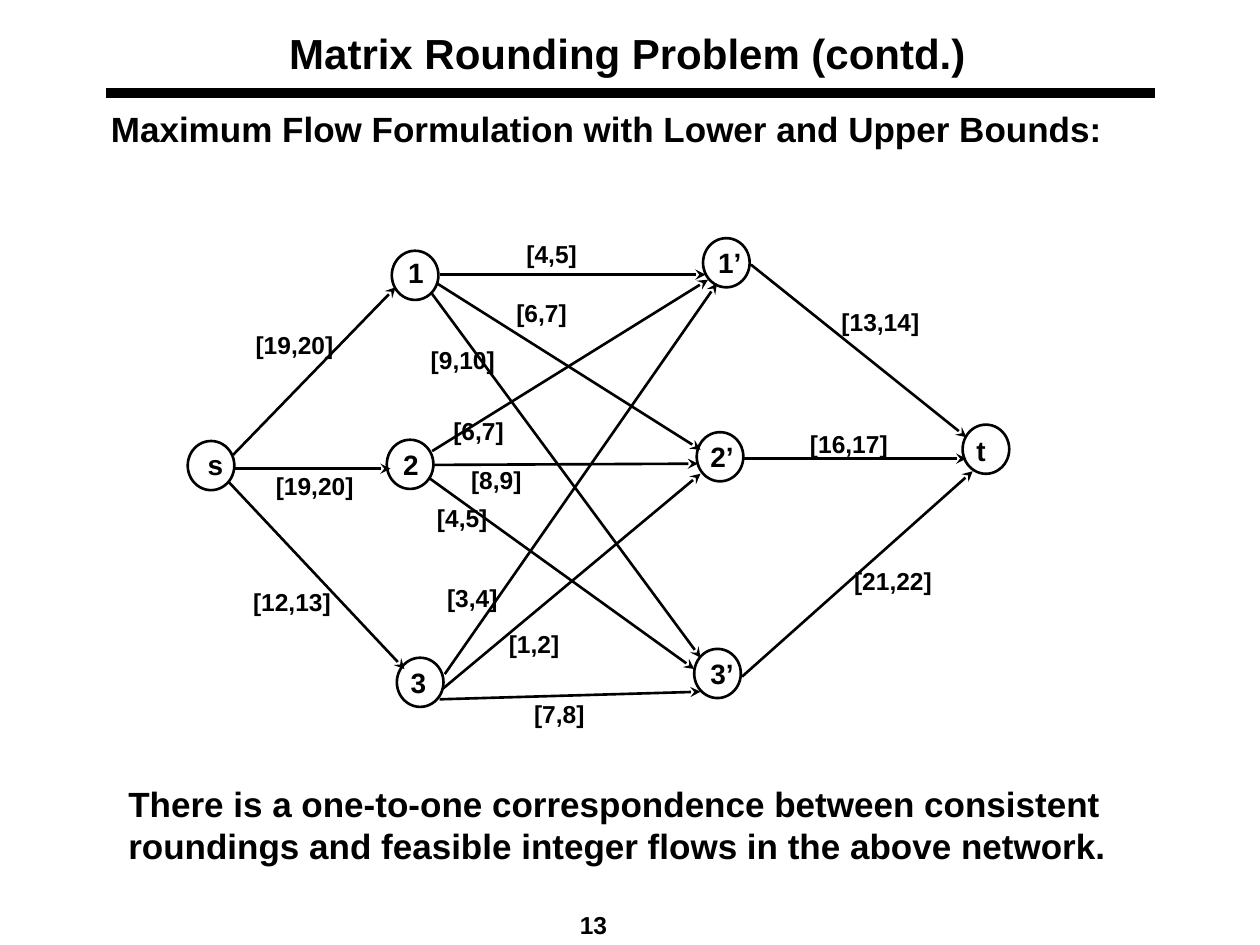
from lxml import etree
from pptx import Presentation
from pptx.dml.color import RGBColor
from pptx.enum.shapes import MSO_CONNECTOR, MSO_SHAPE
from pptx.enum.text import MSO_ANCHOR, MSO_AUTO_SIZE, PP_ALIGN
from pptx.oxml.ns import qn
from pptx.util import Emu, Pt

STRAIGHT = MSO_CONNECTOR.STRAIGHT
OVAL = MSO_SHAPE.OVAL
TOP, MIDDLE = MSO_ANCHOR.TOP, MSO_ANCHOR.MIDDLE
LEFT, CENTER = PP_ALIGN.LEFT, PP_ALIGN.CENTER
FIXED = MSO_AUTO_SIZE.NONE
SCALE = 9144
BLACK = "000000"
NODE = (37, 39)
TAG_WIDTH = {5: 60, 6: 71, 7: 82}

NODES = [
    ("s", (149, 350), (155, 350, 32, 37)),
    ("1", (311, 199), (314, 198, 32, 37)),
    ("2", (307, 349), (310, 350, 32, 37)),
    ("3", (315, 522), (316, 523, 32, 37)),
    ("1’", (558, 189), (560, 190, 38, 37)),
    ("2’", (553, 343), (554, 344, 38, 37)),
    ("3’", (551, 515), (554, 516, 38, 37)),
    ("t", (764, 337), (765, 339, 27, 37)),
]
EDGES = [
    ((185, 361), (314, 228), "[19,20]", (193, 257)),
    ((186, 372), (310, 372), "[19,20]", (209, 369)),
    ((181, 382), (321, 531), "[12,13]", (191, 461)),
    ((596, 210), (767, 347), "[13,14]", (658, 239)),
    ((590, 364), (767, 364), "[16,17]", (633, 336)),
    ((589, 537), (772, 374), "[21,22]", (668, 444)),
    ((349, 218), (560, 218), "[4,5]", (408, 185)),
    ((347, 225), (556, 357), "[6,7]", (400, 232)),
    ((342, 232), (556, 522), "[9,10]", (332, 269)),
    ((343, 358), (562, 222), "[6,7]", (350, 325)),
    ((344, 369), (554, 368), "[8,9]", (364, 364)),
    ((340, 379), (551, 531), "[4,5]", (337, 394)),
    ((353, 535), (569, 225), "[3,4]", (345, 458)),
    ((351, 547), (556, 376), "[1,2]", (394, 494)),
    ((349, 555), (556, 549), "[7,8]", (414, 550)),
]


def px(*vals):
    """Turn px lengths into EMU."""
    return [Emu(val * SCALE) for val in vals]


def tint(code):
    """Turn a hex string into a colour."""
    return RGBColor.from_string(code)


def apply(item, form):
    """Set each format value on an item."""
    for key, val in form.items():
        setattr(item, key, val)


def write(shape, text, size, align=LEFT, anchor=TOP, wrap=True):
    """Put bold black text into a shape."""
    frame = shape.text_frame
    frame.text = text
    apply(frame, {"auto_size": FIXED, "word_wrap": wrap, "vertical_anchor": anchor})
    para = frame.paragraphs[0]
    apply(para, {"alignment": align, "space_before": Pt(0)})
    font = para.runs[0].font
    apply(font, {"name": "Arial", "size": Pt(size), "bold": True})
    font.color.rgb = tint(BLACK)
    return para


def place(shape, box):
    """Move a placeholder to a px box."""
    apply(shape, dict(zip(("left", "top", "width", "height"), px(*box))))


def label(slide, box, text, size, **form):
    """Add a text box."""
    return write(slide.shapes.add_textbox(*px(*box)), text, size, **form)


def node(slide, spot):
    """Add the circle of a network node."""
    shape = slide.shapes.add_shape(OVAL, *px(*spot, *NODE))
    shape.shadow.inherit = False
    shape.fill.background()
    shape.line.color.rgb = tint(BLACK)
    shape.line.width = Pt(1.5)


def rule(slide, start, end, width, head=False):
    """Add a straight line, with an arrowhead if asked."""
    link = slide.shapes.add_connector(STRAIGHT, *px(*start, *end))
    link.line.color.rgb = tint(BLACK)
    link.line.width = Pt(width)
    props = link._element.spPr
    if head:
        etree.SubElement(props.find(qn("a:ln")), qn("a:tailEnd"), type="stealth")
    etree.SubElement(props, qn("a:effectLst"))


def main():
    """Build and save the network slide."""
    deck = Presentation()
    apply(deck, dict(zip(("slide_width", "slide_height"), px(1000, 750))))
    slide = deck.slides.add_slide(deck.slide_layouts[1])
    rule(slide, (84, 74), (917, 74), 6)

    title, body = slide.placeholders
    place(title, (73, 23, 850, 37))
    write(title, "Matrix Rounding Problem (contd.)", 24, CENTER, MIDDLE)
    place(body, (78, 80, 850, 51))
    para = write(body, "Maximum Flow Formulation with Lower and Upper Bounds:", 20)
    props = para._p.get_or_add_pPr()
    apply_none = {"marL": "0", "indent": "0"}
    for key, val in apply_none.items():
        props.set(key, val)
    etree.SubElement(props, qn("a:buNone"))

    label(slide, (92, 616, 850, 89),
          "There is a one-to-one correspondence between consistent "
          "roundings and feasible integer flows in the above network.", 20)
    for name, spot, box in NODES:
        node(slide, spot)
        label(slide, box, name, 16, wrap=False)
    for start, end, bounds, spot in EDGES:
        rule(slide, start, end, 1.5, head=True)
        label(slide, (*spot, TAG_WIDTH[len(bounds)], 34), bounds, 14, wrap=False)
    label(slide, (367, 717, 208, 25), "13", 14, align=CENTER)
    deck.save("out.pptx")


if __name__ == "__main__":
    main()
